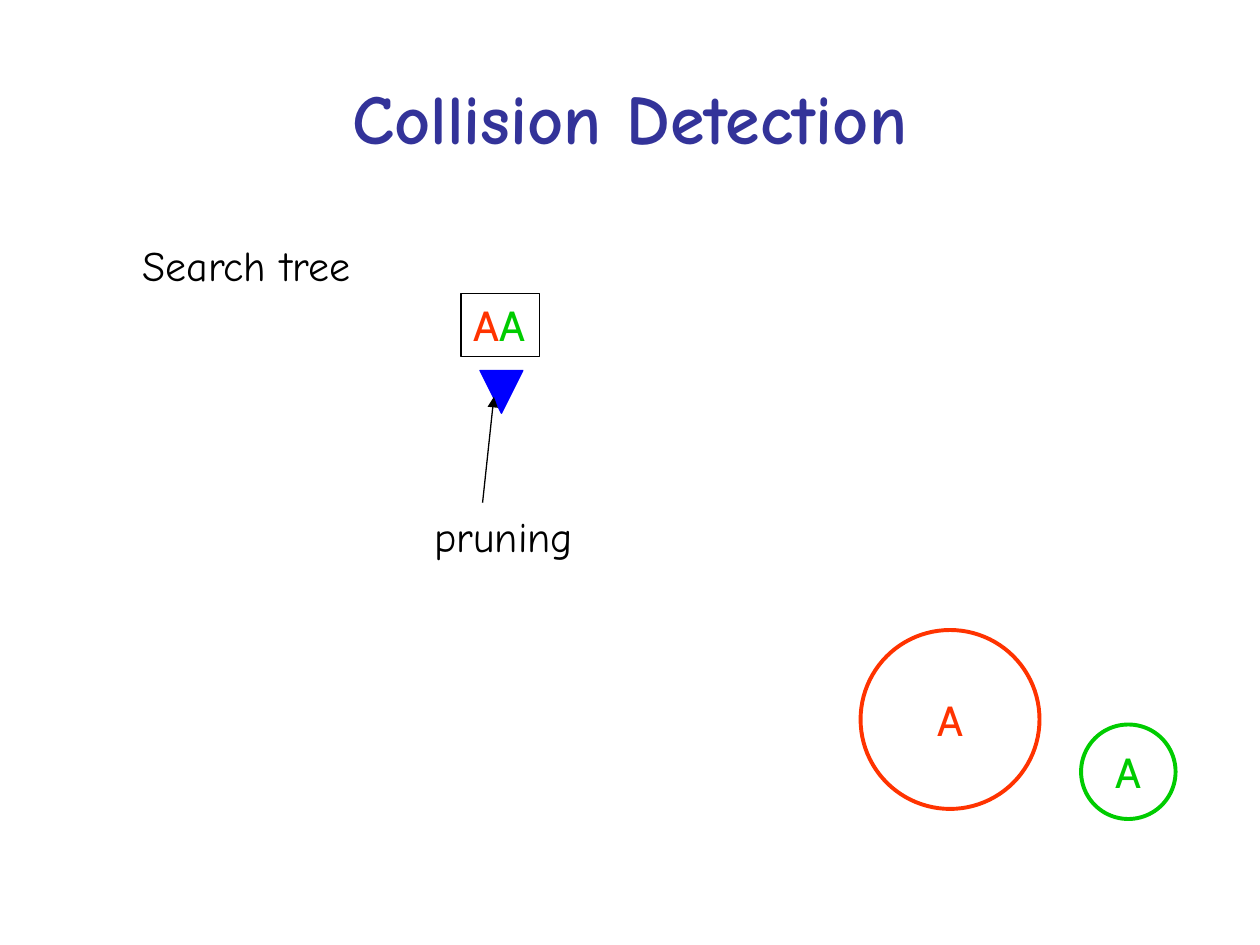
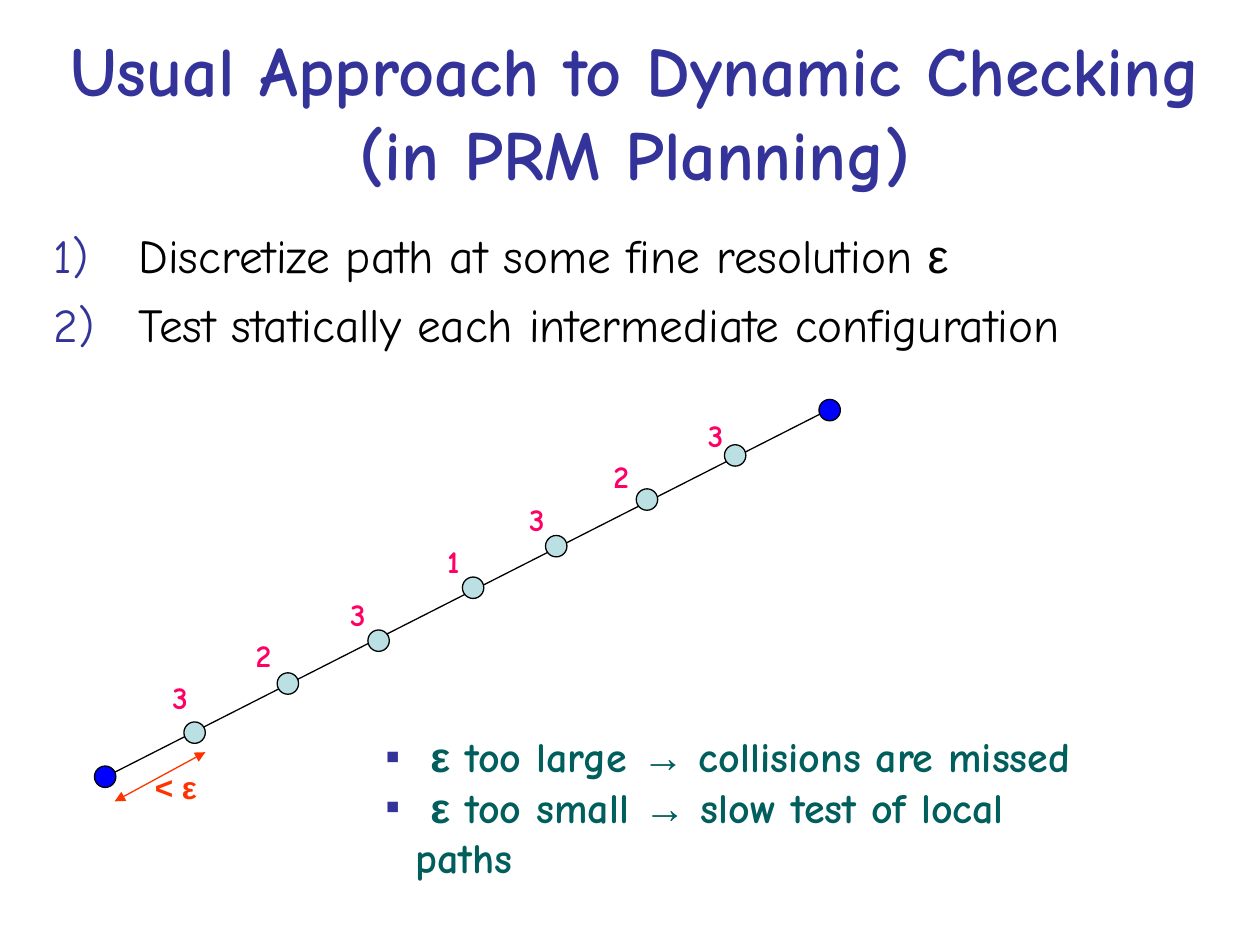
import lxml.etree
import pptx
import pptx.dml.color
import pptx.enum.shapes
import pptx.enum.text
import pptx.oxml.ns
import pptx.util

Inches = pptx.util.Inches
Pt = pptx.util.Pt
Align = pptx.enum.text.PP_ALIGN
Anchor = pptx.enum.text.MSO_ANCHOR
Kind = pptx.enum.shapes.MSO_SHAPE

COLORS = {
    "title": "333399",
    "black": "000000",
    "red": "FF3300",
    "green": "00CC00",
    "blue": "0000FF",
    "pale": "BBE0E3",
    "pink": "FF0066",
    "teal": "005E5C",
}
MAIN, LETTER, SYMBOL = "Comic Neue", "Cabin", "Arial"
DOT = 0.17
ENDS = [(6.5, 3.17), (0.75, 6.08)]
STEPS = [
    ("3", (1.46, 5.73), (1.27, 5.33)),
    ("2", (2.2, 5.34), (1.93, 5)),
    ("3", (2.92, 5), (2.68, 4.67)),
    ("1", (3.67, 4.58), (3.45, 4.25)),
    ("3", (4.33, 4.25), (4.1, 3.92)),
    ("2", (5.05, 3.88), (4.77, 3.58)),
    ("3", (5.75, 3.53), (5.52, 3.25)),
]


def tint(name):
    """Return the named colour."""
    return pptx.dml.color.RGBColor.from_string(COLORS[name])


def add_tag(parent, tag, **attrs):
    """Append a drawing element to its parent."""
    return lxml.etree.SubElement(parent, pptx.oxml.ns.qn(tag), attrs)


def style(font, size, color, face=None, bold=False):
    """Set size, colour, face and weight of a font."""
    font.size = Pt(size)
    font.bold = bold
    if color:
        font.color.rgb = tint(color)
    if face:
        font.name = face


def paint(shape, fill, line, width=0.75):
    """Give a shape its fill and outline."""
    shape.shadow.inherit = False
    if fill:
        shape.fill.solid()
        shape.fill.fore_color.rgb = tint(fill)
    else:
        shape.fill.background()
    shape.line.color.rgb = tint(line)
    shape.line.width = Pt(width)


def add_box(slide, place, wrap=False):
    """Add a text box and return its frame."""
    frame = slide.shapes.add_textbox(*map(Inches, place)).text_frame
    frame.word_wrap = wrap
    return frame


def add_label(slide, text, place, size=24, color="black", face=MAIN, bold=False):
    """Add a short one-line label."""
    para = add_box(slide, place).paragraphs[0]
    para.text = text
    style(para.font, size, color, face, bold)


def add_title(slide, text, place):
    """Add the slide title."""
    frame = add_box(slide, place, True)
    frame.vertical_anchor = Anchor.MIDDLE
    para = frame.paragraphs[0]
    para.text = text
    para.alignment = Align.CENTER
    style(para.font, 40, "title", MAIN, True)


def add_list(slide, place, items, indent, mark, size, color, bold, gap):
    """Add a list whose symbols take their own font."""
    frame = add_box(slide, place, True)
    for index, item in enumerate(items):
        para = frame.add_paragraph() if index else frame.paragraphs[0]
        if index:
            para.space_before = Pt(gap)
        props = para._p.get_or_add_pPr()
        props.set("marL", str(Inches(indent)))
        props.set("indent", str(-Inches(indent)))
        add_tag(add_tag(props, "a:buClr"), "a:srgbClr", val=COLORS["title"])
        if mark:
            add_tag(props, "a:buFont", typeface=SYMBOL)
            add_tag(props, "a:buChar", char=mark)
        else:
            add_tag(props, "a:buFont", typeface=MAIN)
            add_tag(props, "a:buAutoNum", type="arabicParenR")
        style(para.font, size, color, bold=bold)
        for text in item:
            run = para.add_run()
            run.text = text
            run.font.name = SYMBOL if text in ("ε", "→") else MAIN


def add_form(slide, kind, place, fill, line, width=0.75):
    """Add a painted preset shape."""
    shape = slide.shapes.add_shape(kind, *map(Inches, place))
    paint(shape, fill, line, width)
    return shape


def add_disc(slide, place, color):
    """Add a ring with the letter A at its centre."""
    frame = add_form(slide, Kind.OVAL, place, None, color, 2.25).text_frame
    frame.word_wrap = False
    frame.vertical_anchor = Anchor.MIDDLE
    para = frame.paragraphs[0]
    para.text = "A"
    para.alignment = Align.CENTER
    style(para.font, 24, color, LETTER)


def add_pair(slide, place):
    """Add the tree node that pairs both letters."""
    frame = add_form(slide, Kind.RECTANGLE, place, None, "black").text_frame
    frame.word_wrap = False
    frame.vertical_anchor = Anchor.TOP
    para = frame.paragraphs[0]
    para.alignment = Align.LEFT
    style(para.font, 24, None, LETTER)
    for color in ("red", "green"):
        run = para.add_run()
        run.text = "A"
        run.font.color.rgb = tint(color)


def add_wedge(slide, points):
    """Add a filled closed outline."""
    spots = [tuple(map(Inches, point)) for point in points]
    form = slide.shapes.build_freeform(*spots[0])
    form.add_line_segments(spots[1:], close=True)
    paint(form.convert_to_shape(), "blue", "blue")


def add_line(slide, start, end, color="black", heads=()):
    """Add a straight line with arrowheads at the given ends."""
    line = slide.shapes.add_connector(
        pptx.enum.shapes.MSO_CONNECTOR.STRAIGHT, *map(Inches, start + end))
    line.line.color.rgb = tint(color)
    line.line.width = Pt(0.75)
    for head in heads:
        add_tag(line.line._get_or_add_ln(), head, type="triangle")
    add_tag(line._element.spPr, "a:effectLst")


def draw_tree(slide):
    """Draw the search tree slide."""
    add_title(slide, "Collision Detection", (0.5, 0.3, 9, 1.25))
    add_pair(slide, (3.66, 2.33, 0.62, 0.5))
    add_label(slide, "Search tree", (1.03, 1.85, 1.87, 0.5))
    add_disc(slide, (6.83, 5, 1.42, 1.42), "red")
    add_disc(slide, (8.58, 5.75, 0.75, 0.75), "green")
    add_wedge(slide, [(3.81, 2.94), (3.98, 3.28), (4.15, 2.94)])
    add_line(slide, (3.83, 3.99), (3.92, 3.15), heads=["a:tailEnd"])
    add_label(slide, "pruning", (3.35, 4, 1.3, 0.5))


def draw_path(slide):
    """Draw the dynamic checking slide."""
    add_title(slide, "Usual Approach to Dynamic Checking (in PRM Planning)",
              (0.33, 0.25, 9.42, 1.25))
    add_line(slide, (0.83, 6.17), (6.58, 3.25))
    for spot in ENDS:
        add_form(slide, Kind.OVAL, spot + (DOT, DOT), "blue", "black")
    for text, spot, corner in STEPS:
        add_form(slide, Kind.OVAL, spot + (DOT, DOT), "pale", "black")
        add_label(slide, text, corner + (0.32, 0.4), 18, "pink", bold=True)
    add_line(slide, (0.91, 6.36), (1.63, 5.97), "red", ["a:headEnd", "a:tailEnd"])
    add_label(slide, "< ε", (1.13, 6.05, 0.58, 0.4), 18, "red", SYMBOL, True)
    add_list(slide, (2.96, 5.75, 5.8, 1.3), [
        [" ", "ε", " too large ", "→", " collisions are missed"],
        [" ", "ε", " too small ", "→", " slow test of local paths"],
    ], 0.24, "▪", 24, "teal", True, 0)
    add_list(slide, (0.33, 1.75, 9.42, 1.25), [
        ["Discretize path at some fine resolution ", "ε"],
        ["Test statically each intermediate configuration"],
    ], 0.67, None, 27, "black", False, 6.8)


def main():
    """Build and save both slides."""
    deck = pptx.Presentation()
    deck.slide_width, deck.slide_height = Inches(10), Inches(7.5)
    for draw in (draw_tree, draw_path):
        draw(deck.slides.add_slide(deck.slide_layouts[6]))
    deck.save("out.pptx")


if __name__ == "__main__":
    main()
